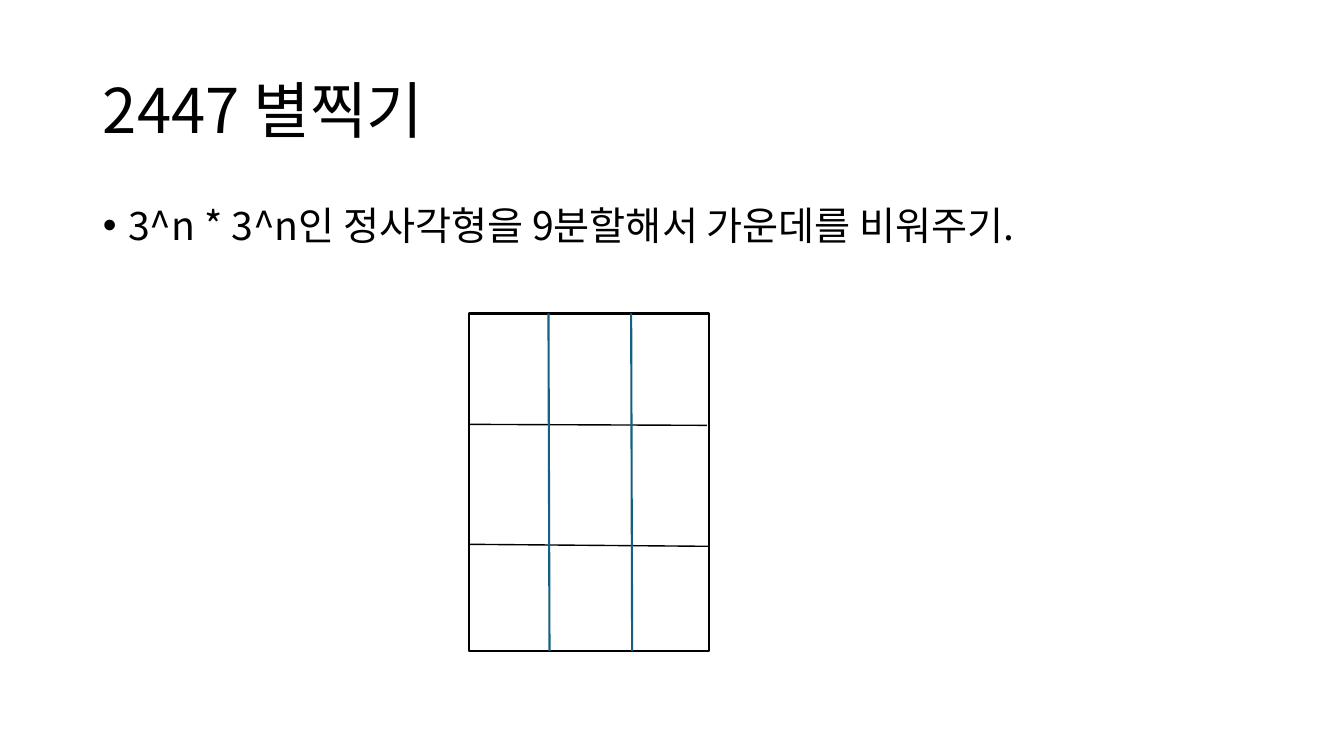
from lxml.etree import SubElement
from pptx import Presentation
from pptx.dml.color import RGBColor
from pptx.enum.shapes import MSO_CONNECTOR, MSO_SHAPE
from pptx.enum.text import MSO_ANCHOR, MSO_AUTO_SIZE, PP_ALIGN
from pptx.oxml.ns import qn
from pptx.util import Inches, Pt

BLACK = RGBColor(0x00, 0x00, 0x00)
BLUE = RGBColor(0x15, 0x60, 0x82)
FONT = "Noto Sans CJK KR"


def fill_placeholder(holder, text, top, height, size, anchor, space_before):
    holder.left, holder.top = Inches(0.92), Inches(top)
    holder.width, holder.height = Inches(11.5), Inches(height)
    frame = holder.text_frame
    frame.auto_size = MSO_AUTO_SIZE.NONE
    frame.vertical_anchor = anchor
    para = frame.paragraphs[0]
    formats = {
        "alignment": PP_ALIGN.LEFT,
        "line_spacing": 0.9,
        "space_before": Pt(space_before),
    }
    for name, value in formats.items():
        setattr(para, name, value)
    span = para.add_run()
    span.text = text
    span.font.name = FONT
    span.font.size = Pt(size)
    span.font.color.rgb = BLACK
    SubElement(span.font._element, qn("a:ea")).set("typeface", FONT)
    return para


deck = Presentation()
deck.slide_width, deck.slide_height = Inches(13.33), Inches(7.5)
page = deck.slides.add_slide(deck.slide_layouts[1])
title, body = page.placeholders

fill_placeholder(title, "2447 별찍기", 0.4, 1.45, 44, MSO_ANCHOR.MIDDLE, 0)
bullet = fill_placeholder(
    body, "3^n * 3^n인 정사각형을 9분할해서 가운데를 비워주기.",
    2, 4.76, 28, MSO_ANCHOR.TOP, 10)
bullet_format = bullet._p.get_or_add_pPr()
bullet_format.set("marL", str(Inches(0.25)))
bullet_format.set("indent", str(Inches(-0.25)))

# Square divided into nine cells
left, top, width, height = 4.65, 3.11, 2.38, 3.35
square = page.shapes.add_shape(
    MSO_SHAPE.RECTANGLE, Inches(left), Inches(top), Inches(width), Inches(height))
square.shadow.inherit = False
square.fill.background()
square.line.color.rgb = BLACK
square.line.width = Pt(1.5)

bottom = top + height
dividers = [
    (left, 4.21, 7.01, 4.22, BLACK, 1),
    (4.66, 5.4, 7.02, 5.42, BLACK, 1),
    (5.44, top, 5.45, bottom, BLUE, 1.5),
    (6.26, top, 6.27, bottom, BLUE, 1.5),
]
for x1, y1, x2, y2, color, weight in dividers:
    divider = page.shapes.add_connector(
        MSO_CONNECTOR.STRAIGHT, Inches(x1), Inches(y1), Inches(x2), Inches(y2))
    divider.line.color.rgb = color
    divider.line.width = Pt(weight)
    SubElement(divider._element.spPr, qn("a:effectLst"))

deck.save("out.pptx")
